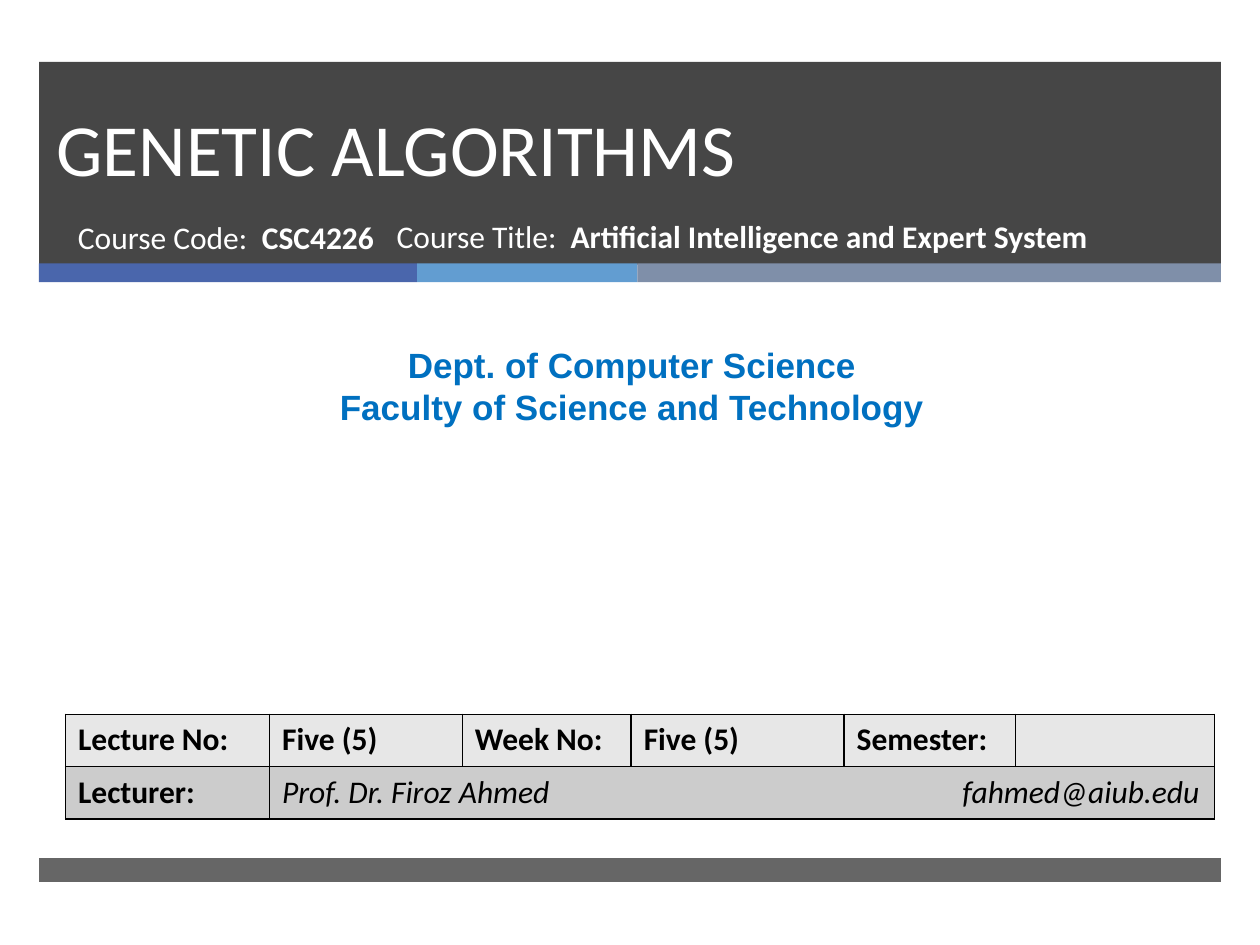
from dataclasses import dataclass

from lxml import etree
from pptx import Presentation
from pptx.dml.color import RGBColor
from pptx.enum import shapes, text
from pptx.oxml.ns import qn
from pptx.util import Inches, Pt

COLORS = {
    "dark": "262626", "navy": "4A66AC", "sky": "629DD1", "slate": "7F8FA9",
    "white": "FFFFFF", "black": "000000", "dept": "0070C0",
    "row1": "E7E7E7", "row2": "CCCCCC",
}


@dataclass
class Bar:
    left: float
    top: float
    width: float
    height: float
    color: str
    opacity: int = 100


@dataclass
class Run:
    text: str
    bold: bool = False
    italic: bool = False


@dataclass
class Line:
    runs: list[Run]
    size: int = 18
    font: str = "Calibri"
    color: str = "white"
    align: text.PP_ALIGN = text.PP_ALIGN.LEFT
    spacing: int | None = None
    tab: float | None = None
    tab_align: str = "l"


@dataclass
class Box:
    left: float
    top: float
    width: float
    height: float
    lines: list[Line]
    anchor: text.MSO_ANCHOR = text.MSO_ANCHOR.TOP


def rgb(name: str) -> RGBColor:
    """Look up a named colour."""
    return RGBColor.from_string(COLORS[name])


def draw_bar(s, bar: Bar) -> None:
    """Draw a plain filled band."""
    sp = s.shapes.add_shape(
        shapes.MSO_SHAPE.RECTANGLE, Inches(bar.left), Inches(bar.top),
        Inches(bar.width), Inches(bar.height))
    sp.shadow.inherit = False
    sp.line.fill.background()
    sp.fill.solid()
    sp.fill.fore_color.rgb = rgb(bar.color)
    if bar.opacity < 100:
        color = sp.fill._xPr.find(".//" + qn("a:srgbClr"))
        etree.SubElement(color, qn("a:alpha"), val=str(bar.opacity * 1000))


def write_line(p, line: Line) -> None:
    """Fill a paragraph with the runs of a line."""
    p.alignment = line.align
    if line.spacing:
        p.line_spacing = Pt(line.spacing)
    if line.tab:
        tabs = etree.SubElement(p._p.get_or_add_pPr(), qn("a:tabLst"))
        etree.SubElement(tabs, qn("a:tab"), pos=str(Inches(line.tab)), algn=line.tab_align)
    p.font.size, p.font.name = Pt(line.size), line.font
    p.font.color.rgb = rgb(line.color)
    for run in line.runs:
        r = p.add_run()
        r.text = run.text
        r.font.bold, r.font.italic = run.bold, run.italic


def draw_box(s, box: Box) -> None:
    """Draw a text box."""
    sp = s.shapes.add_textbox(
        Inches(box.left), Inches(box.top), Inches(box.width), Inches(box.height))
    tf = sp.text_frame
    tf.word_wrap, tf.vertical_anchor = True, box.anchor
    for i, line in enumerate(box.lines):
        write_line(tf.add_paragraph() if i else tf.paragraphs[0], line)


def style_cell(cell, fill: str) -> None:
    """Give a cell thin black borders and a fill."""
    tc_pr = cell._tc.get_or_add_tcPr()
    for side in ("lnL", "lnR", "lnT", "lnB"):
        ln = etree.SubElement(tc_pr, qn(f"a:{side}"), w=str(Pt(1)))
        solid = etree.SubElement(ln, qn("a:solidFill"))
        etree.SubElement(solid, qn("a:srgbClr"), val=COLORS["black"])
    cell.fill.solid()
    cell.fill.fore_color.rgb = rgb(fill)


def draw_table(s, widths: list[float], rows: list[list[Line]], fills: list[str]) -> None:
    """Draw the lecture details, the last row merged after its label."""
    height = 0.415
    table = s.shapes.add_table(
        len(rows), len(widths), Inches(0.52), Inches(5.67),
        Inches(sum(widths)), Inches(height * len(rows))).table
    for column, width in zip(table.columns, widths):
        column.width = Inches(width)
    for r, (lines, fill) in enumerate(zip(rows, fills)):
        table.rows[r].height = Inches(height)
        for c in range(len(widths)):
            style_cell(table.cell(r, c), fill)
        for c, line in enumerate(lines):
            write_line(table.cell(r, c).text_frame.paragraphs[0], line)
    last = len(rows) - 1
    table.cell(last, 1).merge(table.cell(last, len(widths) - 1))


def label(words: str) -> Line:
    """Make a bold black table entry."""
    return Line([Run(words, bold=True)], color="black")


def course(name: str, value: str, tab: float) -> Line:
    """Make a course entry with its value at a tab stop."""
    return Line([Run(f"{name}:\t"), Run(value, bold=True)], tab=tab)


def department(words: str) -> Line:
    """Make a centred department line."""
    return Line([Run(words, bold=True)], 20, "Arial", "dept", text.PP_ALIGN.CENTER)


BARS = [
    Bar(0.31, 0.49, 9.38, 1.61, "dark", 85),
    Bar(0.31, 2.09, 3, 0.15, "navy"),
    Bar(3.31, 2.09, 1.75, 0.15, "sky"),
    Bar(5.06, 2.09, 4.63, 0.15, "slate"),
    Bar(0.31, 6.81, 9.38, 0.19, "dark", 70),
]
BOXES = [
    Box(0.35, 0.38, 8.54, 1.19, [Line([Run("GENETIC ALGORITHMS")], 42, spacing=46)],
        text.MSO_ANCHOR.BOTTOM),
    Box(0.52, 1.68, 3.05, 0.53, [course("Course Code", "CSC4226", 1.46)]),
    Box(3.05, 1.67, 5.72, 0.53,
        [course("Course Title", "Artificial Intelligence and Expert System", 1.38)]),
    Box(0.08, 2.68, 9.87, 0.77, [department("Dept. of Computer Science"),
                                 department("Faculty of Science and Technology")]),
]
DETAILS = ["Lecture No:", "Five (5)", "Week No:", "Five (5)", "Semester:"]
LECTURER = Line([Run("Prof. Dr. Firoz Ahmed\tfahmed@aiub.edu", italic=True)],
                color="black", tab=7.28, tab_align="r")


def main() -> None:
    """Build the title slide."""
    prs = Presentation()
    prs.slide_width, prs.slide_height = Inches(10), Inches(7.5)
    s = prs.slides.add_slide(prs.slide_layouts[6])
    for bar in BARS:
        draw_bar(s, bar)
    for box in BOXES:
        draw_box(s, box)
    draw_table(s, [1.62, 1.53, 1.34, 1.69, 1.36, 1.58],
               [[label(words) for words in DETAILS], [label("Lecturer:"), LECTURER]],
               ["row1", "row2"])
    prs.save("out.pptx")


if __name__ == "__main__":
    main()
